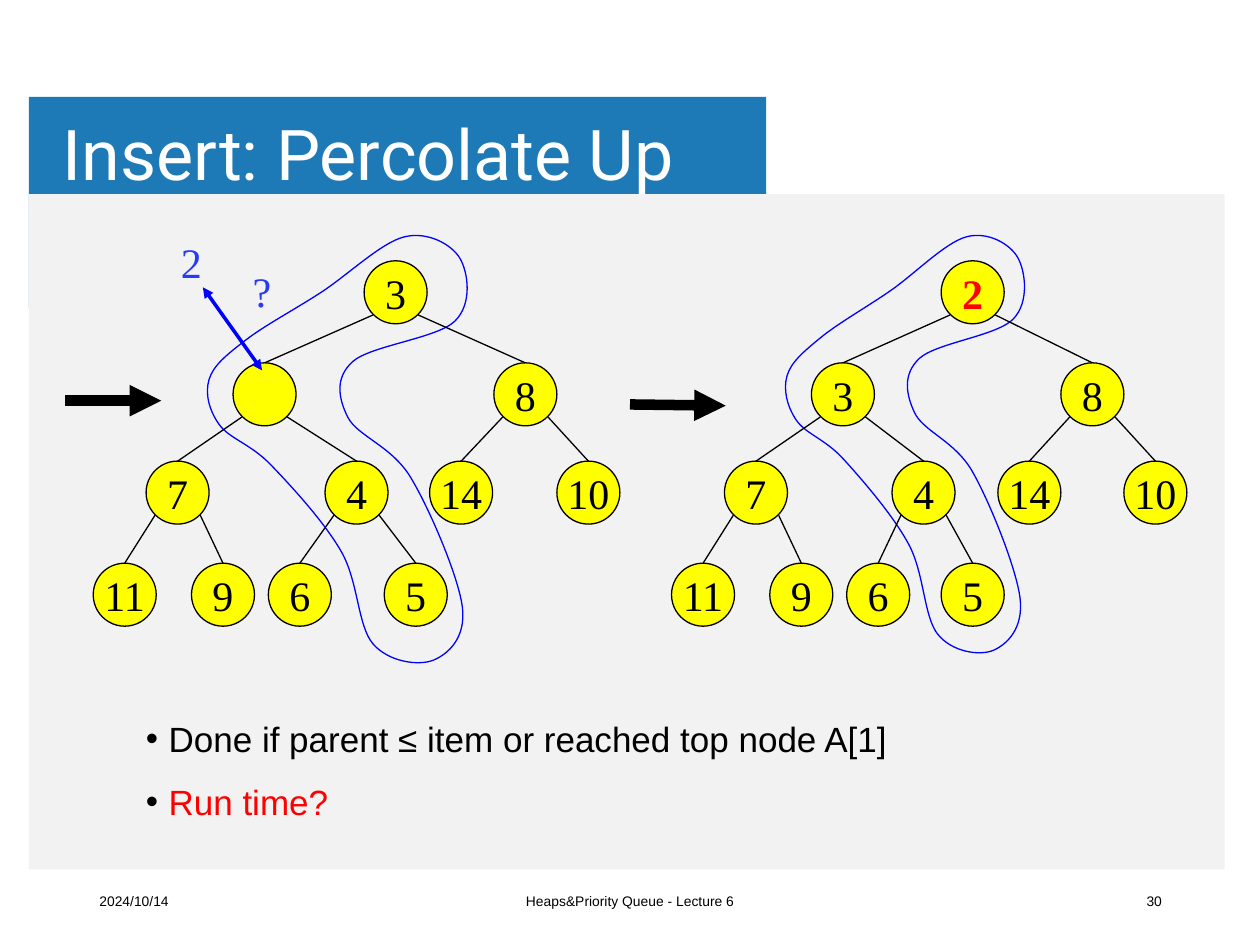
from lxml import etree
from pptx import Presentation
from pptx import util as u
from pptx.dml.color import RGBColor
from pptx.enum import shapes, text
from pptx.oxml import ns

BLACK = RGBColor(0x00, 0x00, 0x00)
WHITE = RGBColor(0xFF, 0xFF, 0xFF)
BAND = RGBColor(0x1E, 0x7A, 0xB6)
PANEL = RGBColor(0xF2, 0xF2, 0xF2)
YELLOW = RGBColor(0xFF, 0xFF, 0x00)
RED = RGBColor(0xFF, 0x00, 0x00)
BLUE = RGBColor(0x00, 0x00, 0xFF)
INK = RGBColor(0x26, 0x3A, 0xF8)

SIZE = 0.5
LEVELS = (0, 0.81, 1.59, 2.4)
LOOP = [(2.03, 0.22), (1.59, 0.05), (0.93, 0.49), (0.33, 0.87), (0.04, 1.18),
        (0.12, 1.54), (0.53, 1.86), (1.09, 2.55), (1.34, 3.28), (1.82, 3.41),
        (2.05, 2.99), (1.64, 1.96), (1.14, 1.48), (1.18, 1.04), (1.99, 0.72)]
LOOP_W, LOOP_H = 2.13, 3.45


def inch(*vals):
    return [u.Inches(v) for v in vals]


def style(obj, **vals):
    for key, val in vals.items():
        setattr(obj, key, val)


def write(para, words, size, face, color, bold=False):
    run = para.add_run()
    run.text = words
    style(run.font, size=u.Pt(size), name=face, bold=bold)
    run.font.color.rgb = color


def shape(slide, kind, box, fill=None, edge=None):
    item = slide.shapes.add_shape(kind, *inch(*box))
    item.shadow.inherit = False
    if fill is None:
        item.fill.background()
    else:
        item.fill.solid()
        item.fill.fore_color.rgb = fill
    if edge is None:
        item.line.fill.background()
    else:
        item.line.color.rgb = edge
        item.line.width = u.Pt(0.75)
    return item


def label(slide, box, words, size, face, color, align=text.PP_ALIGN.LEFT):
    frame = slide.shapes.add_textbox(*inch(*box)).text_frame
    style(frame, word_wrap=True, vertical_anchor=text.MSO_ANCHOR.MIDDLE)
    para = frame.paragraphs[0]
    para.alignment = align
    write(para, words, size, face, color)
    return frame


def line(slide, start, end, color=BLACK, width=0.75, tips=()):
    item = slide.shapes.add_connector(
        shapes.MSO_CONNECTOR.STRAIGHT, *inch(*start, *end))
    item.line.color.rgb = color
    item.line.width = u.Pt(width)
    props = item._element.spPr
    stroke = props.find(ns.qn("a:ln"))
    for tip in tips:
        etree.SubElement(stroke, ns.qn(tip), type="triangle")
    etree.SubElement(props, ns.qn("a:effectLst"))


def node(slide, left, top, words, color=BLACK, bold=False, fill=YELLOW, edge=BLACK):
    item = shape(slide, shapes.MSO_SHAPE.OVAL, (left, top, SIZE, SIZE), fill, edge)
    frame = item.text_frame
    style(frame, word_wrap=False, vertical_anchor=text.MSO_ANCHOR.MIDDLE)
    para = frame.paragraphs[0]
    para.alignment = text.PP_ALIGN.CENTER
    if words:
        write(para, words, 24, "Times New Roman", color, bold)


def loop(slide, box):
    left, top, width, height = box
    dots = [tuple(inch(left + x * width / LOOP_W, top + y * height / LOOP_H))
            for x, y in LOOP]
    form = slide.shapes.build_freeform(*dots[0])
    form.add_line_segments(dots[1:] + dots[:1], close=True)
    item = form.convert_to_shape()
    item.shadow.inherit = False
    item.fill.background()
    item.line.color.rgb = BLUE
    item.line.width = u.Pt(0.75)
    x0, y0 = (min(axis) for axis in zip(*dots))
    pts = [(x - x0, y - y0) for x, y in dots]
    count = len(pts)
    for i, seg in enumerate(list(item._element.iter(ns.qn("a:lnTo")))):
        prev, here, goal, after = (pts[(i + k) % count] for k in (-1, 0, 1, 2))
        out = [h + (g - p) / 6 for p, h, g in zip(prev, here, goal)]
        back = [g - (a - h) / 6 for h, g, a in zip(here, goal, after)]
        curve = etree.Element(ns.qn("a:cubicBezTo"))
        for x, y in (out, back, goal):
            etree.SubElement(curve, ns.qn("a:pt"), x=str(round(x)), y=str(round(y)))
        seg.getparent().replace(seg, curve)


def heap(slide, origin, lefts, keys, ring, color=BLACK, bold=False):
    left, top = origin
    loop(slide, ring)
    spots = [(left + x, top + LEVELS[i.bit_length() - 1])
             for i, x in enumerate(lefts, 1)]
    for i in range(2, len(spots) + 1):
        px, py = spots[i // 2 - 1]
        x, y = spots[i - 1]
        side = 0.43 if i % 2 else 0.07
        line(slide, (px + side, py + 0.43), (x + SIZE / 2, y))
    for i, (spot, key) in enumerate(zip(spots, keys)):
        node(slide, *spot, key, *((color, bold) if i == 0 else ()))


def head(slide, box):
    frame = label(slide, box, "Insert: Percolate Up", 40, "Roboto", WHITE)
    edges = dict(margin_left=0.07, margin_right=0.07, margin_top=0.04, margin_bottom=0.04)
    style(frame, **{key: u.Inches(val) for key, val in edges.items()})
    frame.paragraphs[0].line_spacing = 0.9


def notes(slide, box):
    frame = slide.shapes.add_textbox(*inch(*box)).text_frame
    frame.word_wrap = True
    rows = [("Done if parent ≤ item or reached top node A[1]", BLACK), ("Run time?", RED)]
    for i, (words, color) in enumerate(rows):
        para = frame.add_paragraph() if i else frame.paragraphs[0]
        para.line_spacing = 1.5
        props = para._p.get_or_add_pPr()
        gap = u.Inches(0.18)
        props.set("marL", str(gap))
        props.set("indent", str(-gap))
        tint = etree.SubElement(props, ns.qn("a:buClr"))
        etree.SubElement(tint, ns.qn("a:srgbClr"), val=str(BLACK))
        etree.SubElement(props, ns.qn("a:buFont"), typeface="Arial")
        etree.SubElement(props, ns.qn("a:buChar"), char="•")
        write(para, words, 20, "Arial", color)


def foot(slide, top, height):
    align = text.PP_ALIGN
    for left, width, words, side in (
            (0.69, 2.25, "2024/10/14", align.LEFT),
            (3.31, 3.38, "Heaps&Priority Queue - Lecture 6", align.CENTER),
            (7.07, 2.25, "30", align.RIGHT)):
        label(slide, (left, top, width, height), words, 7.9, "Arial", BLACK, side)


def main():
    deck = Presentation()
    style(deck, slide_width=u.Inches(10), slide_height=u.Inches(7.5))
    slide = deck.slides.add_slide(deck.slide_layouts[6])
    rect = shapes.MSO_SHAPE.RECTANGLE
    shape(slide, rect, (0.23, 0.77, 5.85, 1.67), BAND)
    shape(slide, rect, (0.23, 1.54, 9.49, 5.36), PANEL)
    head(slide, (0.43, 0.76, 8.03, 0.98))
    foot(slide, 6.95, 0.4)
    notes(slide, (1.06, 5.48, 6.5, 1.11))
    rest = ["8", "7", "4", "14", "10", "11", "9", "6", "5"]
    heap(slide, (0.74, 2.07),
         (2.15, 1.11, 3.18, 0.42, 1.84, 2.67, 3.68, 0, 0.78, 1.39, 2.31),
         ["3", ""] + rest, (1.62, 1.83, 2.13, 3.45))
    heap(slide, (5.33, 2.07),
         (2.14, 1.11, 3.09, 0.42, 1.75, 2.59, 3.59, 0, 0.78, 1.39, 2.14),
         ["2", "3"] + rest, (6.21, 1.83, 1.96, 3.37), RED, True)
    for left, top, words in ((1.27, 1.83, "2"), (1.83, 2.06, "?")):
        node(slide, left, top, words, INK, fill=None, edge=None)
    line(slide, (1.61, 2.28), (2.08, 2.94), BLUE, 2, ("a:headEnd", "a:tailEnd"))
    line(slide, (0.52, 3.18), (1.28, 3.18), BLACK, 6, ("a:tailEnd",))
    line(slide, (5, 3.21), (5.76, 3.22), BLACK, 6, ("a:tailEnd",))
    deck.save("out.pptx")


if __name__ == "__main__":
    main()
